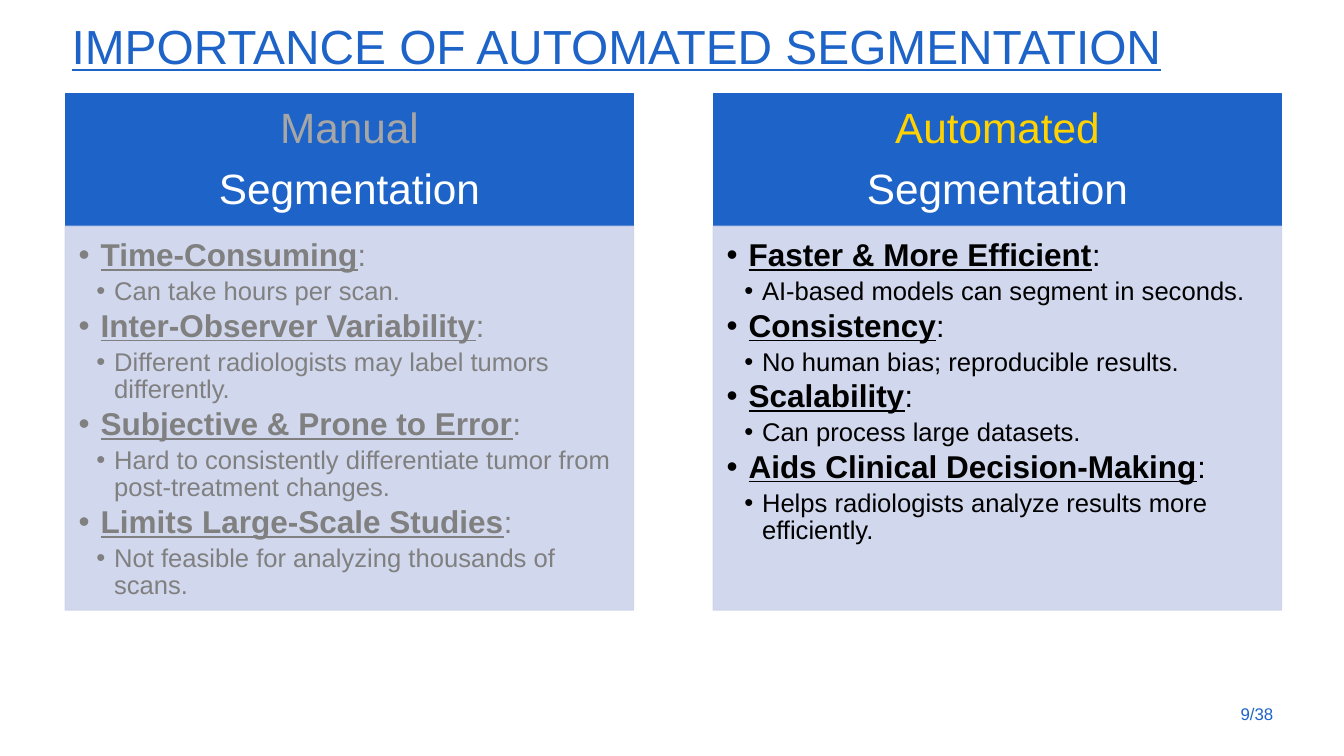
import dataclasses

import pptx
import pptx.dml.color
import pptx.enum.text
import pptx.oxml.ns
import pptx.util
from lxml import etree

PX = 9144  # 100 px to the inch
ALIGN = pptx.enum.text.PP_ALIGN
ANCHOR = pptx.enum.text.MSO_ANCHOR


@dataclasses.dataclass(frozen=True)
class Theme:
    font: str = "Arial"
    blue: str = "1E64C8"
    pale: str = "CDD3EB"
    white: str = "FFFFFF"
    yellow: str = "FFD200"
    silver: str = "A6A6A6"
    grey: str = "808080"
    black: str = "000000"
    title_size: float = 48.6
    header_size: float = 43
    topic_size: float = 32
    colon_size: float = 31
    detail_size: float = 26
    number_size: float = 17.1


class ComparisonSlide:
    def __init__(self, deck, theme):
        self.theme = theme
        self.slide = deck.slides.add_slide(deck.slide_layouts.get_by_name("Comparison"))

    def place(self, holder, box, insets, anchor):
        """Position a text holder and return its cleared text frame."""
        holder.left, holder.top, holder.width, holder.height = (n * PX for n in box)
        frame = holder.text_frame
        frame.word_wrap = True
        frame.auto_size = pptx.enum.text.MSO_AUTO_SIZE.NONE
        frame.vertical_anchor = anchor
        (frame.margin_left, frame.margin_top,
         frame.margin_right, frame.margin_bottom) = (n * PX for n in insets)
        return frame

    def paint(self, holder, colour, alpha=100):
        holder.fill.solid()
        holder.line.width = pptx.util.Pt(1)
        for fill in (holder.fill, holder.line.fill):
            fill.solid()
            fill.fore_color.rgb = pptx.dml.color.RGBColor.from_string(colour)
        if alpha < 100:
            for tint in holder.element.spPr.iter(pptx.oxml.ns.qn("a:srgbClr")):
                etree.SubElement(tint, pptx.oxml.ns.qn("a:alpha"), val=str(alpha * 1000))

    def paragraph(self, frame, first, align=ALIGN.LEFT, after=0, spacing=0.9):
        line = frame.paragraphs[0] if first else frame.add_paragraph()
        line.alignment = align
        line.line_spacing = spacing
        line.space_before = pptx.util.Pt(0)
        line.space_after = pptx.util.Pt(after)
        return line

    def bullet(self, line, level, margin, hanging):
        line.level = level
        props = line._p.get_or_add_pPr()
        props.set("marL", str(margin * PX))
        props.set("indent", str(-hanging * PX))
        etree.SubElement(props, pptx.oxml.ns.qn("a:buFont"), typeface=self.theme.font)
        etree.SubElement(props, pptx.oxml.ns.qn("a:buChar"), char="•")

    def run(self, line, text, size, colour, bold=False, underline=False):
        run = line.add_run()
        run.text = text
        run.font.name = self.theme.font
        run.font.size = pptx.util.Pt(size)
        run.font.bold = bold
        run.font.underline = underline
        run.font.color.rgb = pptx.dml.color.RGBColor.from_string(colour)

    def title(self, text, box):
        frame = self.place(self.slide.shapes.title, box, (10, 5, 10, 5), ANCHOR.TOP)
        line = self.paragraph(frame, True)
        self.run(line, text, self.theme.title_size, self.theme.blue, underline=True)

    def header(self, index, box, words):
        holder = self.slide.placeholders[index]
        self.paint(holder, self.theme.blue)
        frame = self.place(holder, box, (33, 19, 33, 19), ANCHOR.MIDDLE)
        for row, (word, colour) in enumerate(words):
            line = self.paragraph(frame, row == 0, ALIGN.CENTER, after=16)
            self.run(line, word, self.theme.header_size, colour)

    def topics(self, index, box, topics, colour):
        holder = self.slide.placeholders[index]
        self.paint(holder, self.theme.pale, alpha=90)
        frame = self.place(holder, box, (19, 19, 25, 28), ANCHOR.TOP)
        for row, (topic, detail) in enumerate(topics):
            line = self.paragraph(frame, row == 0, after=5)
            self.bullet(line, 0, 31, 31)
            self.run(line, topic, self.theme.topic_size, colour, bold=True, underline=True)
            self.run(line, ":", self.theme.colon_size, colour)
            line = self.paragraph(frame, False, after=4)
            self.bullet(line, 1, 50, 25)
            self.run(line, detail, self.theme.detail_size, colour)

    def page_number(self, text, box):
        holder = self.slide.shapes.add_textbox(0, 0, PX, PX)
        frame = self.place(holder, box, (10, 5, 10, 5), ANCHOR.MIDDLE)
        line = self.paragraph(frame, True, ALIGN.RIGHT, spacing=1.0)
        self.run(line, text, self.theme.number_size, self.theme.blue)


def main():
    theme = Theme()
    deck = pptx.Presentation()
    deck.slide_width, deck.slide_height = 1896 * PX, 1067 * PX
    page = ComparisonSlide(deck, theme)
    page.title("IMPORTANCE OF AUTOMATED SEGMENTATION", (91, 28, 1718, 94))

    # The two approaches: name, name colour, list colour, topics
    approaches = [
        ("Manual", theme.silver, theme.grey, [
            ("Time-Consuming", "Can take hours per scan."),
            ("Inter-Observer Variability",
             "Different radiologists may label tumors differently."),
            ("Subjective & Prone to Error",
             "Hard to consistently differentiate tumor from post-treatment changes."),
            ("Limits Large-Scale Studies",
             "Not feasible for analyzing thousands of scans."),
        ]),
        ("Automated", theme.yellow, theme.black, [
            ("Faster & More Efficient", "AI-based models can segment in seconds."),
            ("Consistency", "No human bias; reproducible results."),
            ("Scalability", "Can process large datasets."),
            ("Aids Clinical Decision-Making",
             "Helps radiologists analyze results more efficiently."),
        ]),
    ]

    # Columns: each has a header above its list
    left, width, pitch = 92, 802, 914
    for column, (name, name_colour, list_colour, topics) in enumerate(approaches):
        x = left + column * pitch
        header_index = 1 + 2 * column
        page.header(header_index, (x, 132, width, 188),
                    [(name, name_colour), ("Segmentation", theme.white)])
        page.topics(header_index + 1, (x, 319, width, 542), topics, list_colour)

    # Page number
    page.page_number("9/38", (1705, 979, 101, 57))
    deck.save("out.pptx")


if __name__ == "__main__":
    main()
